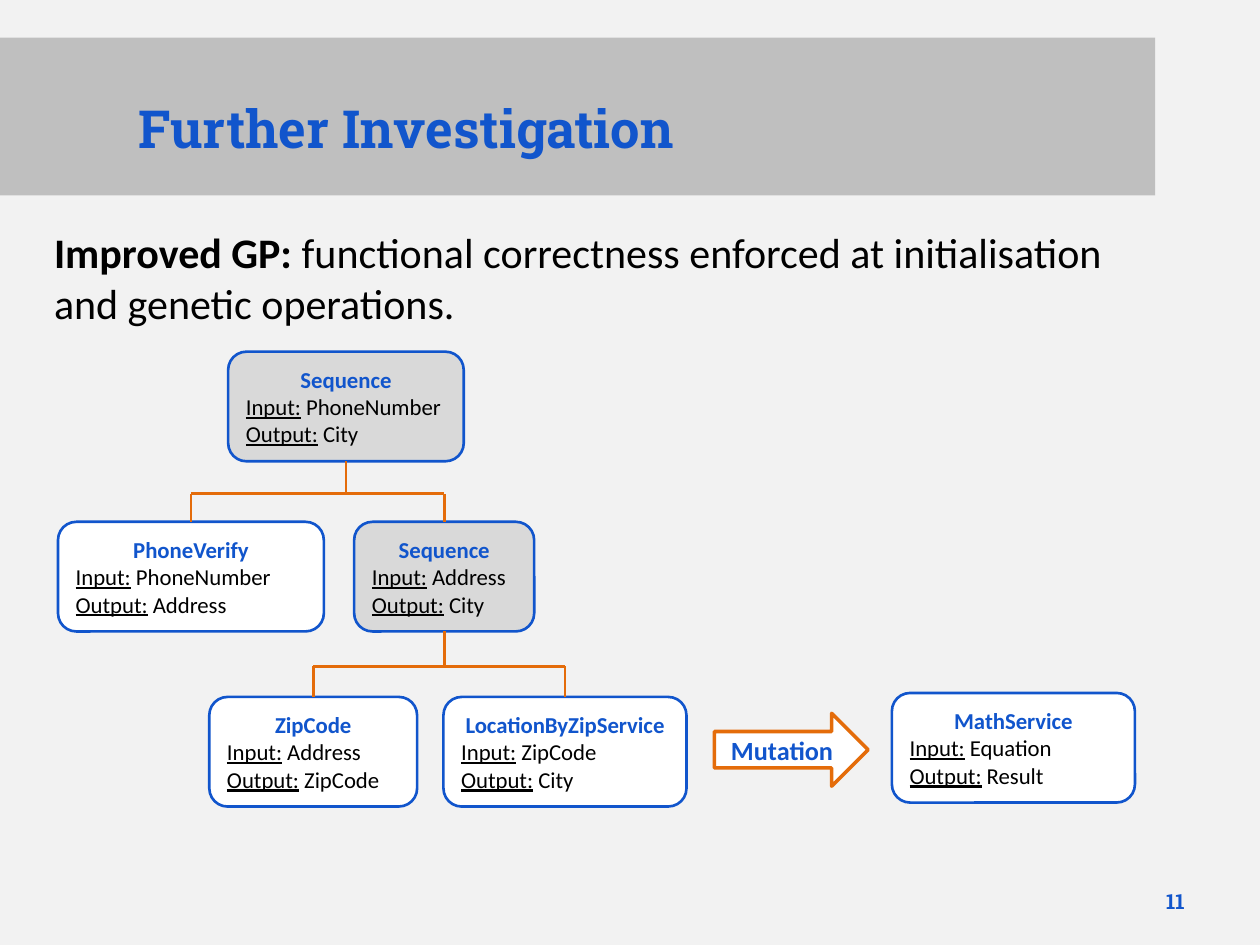
from lxml.etree import SubElement
from pptx import Presentation
from pptx.dml.color import RGBColor
from pptx.enum.shapes import MSO_CONNECTOR, MSO_SHAPE
from pptx.enum.text import MSO_ANCHOR, PP_ALIGN
from pptx.oxml.ns import qn
from pptx.util import Cm, Pt

COLORS = {
    "background": "F2F2F2",
    "banner": "BFBFBF",
    "function": "D9D9D9",
    "service": "FFFFFF",
    "blue": "1155CC",
    "orange": "E46C0A",
    "text": "000000",
}
BOX_HEIGHT = 2.21
HEADING = {"name": "Roboto Slab", "bold": True}
BODY = {"name": "Calibri", "size": Pt(24)}
LABEL = {"name": "Calibri", "size": Pt(13)}


def add_run(paragraph, text, color, font_format):
    run = paragraph.add_run()
    run.text = text
    run.font.color.rgb = RGBColor.from_string(COLORS[color])
    for attribute, value in font_format.items():
        setattr(run.font, attribute, value)


def add_filled_shape(kind, position, fill, line=None, width=1.5):
    shape = slide.shapes.add_shape(kind, *map(Cm, position))
    shape.shadow.inherit = False
    shape.fill.solid()
    shape.fill.fore_color.rgb = RGBColor.from_string(COLORS[fill])
    if line:
        shape.line.color.rgb = RGBColor.from_string(COLORS[line])
        shape.line.width = Pt(width)
    else:
        shape.line.fill.background()
    shape.text_frame.vertical_anchor = MSO_ANCHOR.MIDDLE
    shape.text_frame.paragraphs[0].alignment = PP_ALIGN.CENTER
    return shape


presentation = Presentation()
presentation.slide_width = Cm(25.4)
presentation.slide_height = Cm(19.05)
slide = presentation.slides.add_slide(presentation.slide_layouts[6])
slide.background.fill.solid()
slide.background.fill.fore_color.rgb = RGBColor.from_string(COLORS["background"])

# Title banner
banner = add_filled_shape(MSO_SHAPE.RECTANGLE, (0, 0.76, 23.29, 3.18), "banner")
banner.text_frame.margin_left = Cm(2.79)
banner.text_frame.margin_top = Cm(0.58)
title = banner.text_frame.paragraphs[0]
title.alignment = PP_ALIGN.LEFT
add_run(title, "Further Investigation", "blue", {**HEADING, "size": Pt(30)})

# Statement and slide number
statement = slide.shapes.add_textbox(Cm(0.84), Cm(4.45), Cm(22.43), Cm(2.31))
statement.text_frame.word_wrap = True
paragraph = statement.text_frame.paragraphs[0]
add_run(paragraph, "Improved GP:", "text", {**BODY, "bold": True})
add_run(paragraph, " functional correctness enforced at initialisation and genetic operations.",
        "text", BODY)

number = slide.shapes.add_textbox(Cm(22.86), Cm(17.65), Cm(1.27), Cm(1.02))
number.text_frame.vertical_anchor = MSO_ANCHOR.MIDDLE
number.text_frame.word_wrap = True
paragraph = number.text_frame.paragraphs[0]
paragraph.alignment = PP_ALIGN.RIGHT
add_run(paragraph, "11", "blue", {**HEADING, "size": Pt(12)})

# Tree nodes: key, left, top, width, fill, name, input, output
nodes = [
    ("root", 4.6, 7.09, 4.75, "function", "Sequence", "PhoneNumber", "City"),
    ("verify", 1.17, 10.52, 5.36, "service", "PhoneVerify", "PhoneNumber", "Address"),
    ("sequence", 7.14, 10.52, 3.63, "function", "Sequence", "Address", "City"),
    ("zip", 4.22, 14.05, 4.19, "service", "ZipCode", "Address", "ZipCode"),
    ("location", 8.94, 14.05, 4.9, "service", "LocationByZipService", "ZipCode", "City"),
    ("math", 17.98, 13.97, 4.9, "service", "MathService", "Equation", "Result"),
]
boxes = {}
for key, left, top, width, fill, name, input_type, output_type in nodes:
    box = add_filled_shape(MSO_SHAPE.ROUNDED_RECTANGLE, (left, top, width, BOX_HEIGHT),
                           fill, "blue")
    add_run(box.text_frame.paragraphs[0], name, "blue", {**LABEL, "bold": True})
    for caption, value in (("Input:", input_type), ("Output:", output_type)):
        paragraph = box.text_frame.add_paragraph()
        paragraph.alignment = PP_ALIGN.LEFT
        add_run(paragraph, caption, "text", {**LABEL, "underline": True})
        add_run(paragraph, f" {value}", "text", LABEL)
    boxes[key] = box

# Branches: a stem from the parent, a bar, and a drop to each child
for parent_key, child_keys, bar_height in (
    ("root", ("verify", "sequence"), 9.95),
    ("sequence", ("zip", "location"), 13.43),
):
    parent = boxes[parent_key]
    children = [boxes[key] for key in child_keys]
    bar_y = Cm(bar_height)
    bar_left, bar_right = (child.left + child.width // 2 for child in children)
    stem_x = parent.left + parent.width // 2
    bar = slide.shapes.add_connector(MSO_CONNECTOR.STRAIGHT, bar_left, bar_y, bar_right, bar_y)
    branch = [bar]
    for box, site, x, y in (
        (parent, 2, stem_x, parent.top + parent.height),
        (children[0], 0, bar_left, children[0].top),
        (children[1], 0, bar_right, children[1].top),
    ):
        connector = slide.shapes.add_connector(MSO_CONNECTOR.STRAIGHT, x, y, x, bar_y)
        connector.begin_connect(box, site)
        branch.append(connector)
    for connector in branch:
        connector.line.color.rgb = RGBColor.from_string(COLORS["orange"])
        connector.line.width = Pt(1.5)
        SubElement(connector._element.spPr, qn("a:effectLst"))

# Mutation arrow
arrow = add_filled_shape(MSO_SHAPE.RIGHT_ARROW, (14.4, 14.38, 3.1, 1.47),
                         "service", "orange", 2)
arrow.text_frame.word_wrap = False
add_run(arrow.text_frame.paragraphs[0], "Mutation", "blue",
        {**LABEL, "size": Pt(15), "bold": True})

presentation.save("out.pptx")
